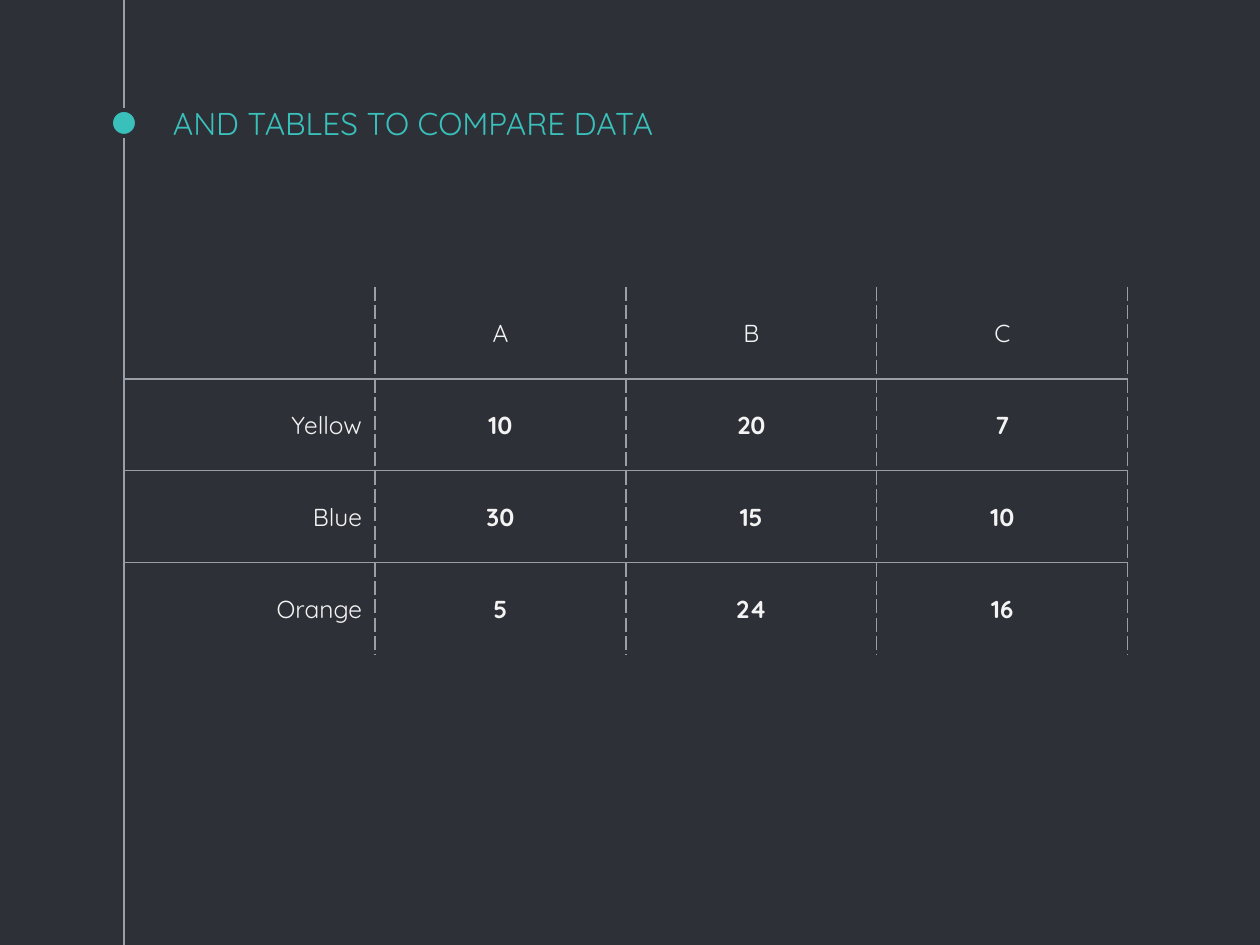
from lxml.etree import SubElement
from pptx import Presentation
from pptx.dml.color import RGBColor
from pptx.enum.shapes import MSO_CONNECTOR, MSO_SHAPE
from pptx.enum.text import MSO_ANCHOR, PP_ALIGN
from pptx.oxml.ns import qn
from pptx.util import Emu, Pt

SCALE = 914400 // 126
SLIDE_W, SLIDE_H = 1260, 945
FONT = "Quicksand"
COLORS = {"background": "2E3037", "accent": "39C0BA", "rule": "999FA9", "text": "F3F3F3"}
INSET = 13
RULE_WIDTH = Pt(0.75)

ROWS = [
    ["", "A", "B", "C"],
    ["Yellow", "10", "20", "7"],
    ["Blue", "30", "15", "10"],
    ["Orange", "5", "24", "16"],
]


def px(length):
    return Emu(length * SCALE)


def color(name):
    return RGBColor.from_string(COLORS[name])


def format_text(paragraph, size, color_name, bold=False):
    for run in paragraph.runs:
        run.font.name = FONT
        run.font.size = Pt(size)
        run.font.bold = bold
        run.font.color.rgb = color(color_name)


def add_timeline(slide, x, top, bottom, dot_y, dot_size):
    # Vertical rule
    rule = slide.shapes.add_connector(MSO_CONNECTOR.STRAIGHT, px(x), px(top), px(x), px(bottom))
    rule.line.color.rgb = color("rule")
    rule.line.width = RULE_WIDTH
    SubElement(rule._element.spPr, qn("a:effectLst"))
    # Dot, outlined in the background colour to break the rule
    dot = slide.shapes.add_shape(MSO_SHAPE.OVAL, px(x - dot_size // 2), px(dot_y - dot_size // 2),
                                 px(dot_size), px(dot_size))
    dot.shadow.inherit = False
    dot.fill.solid()
    dot.fill.fore_color.rgb = color("accent")
    dot.line.color.rgb = color("background")
    dot.line.width = Pt(2.25)


def add_title(slide, text, left, top, width, height):
    title = slide.shapes.add_textbox(px(left), px(top), px(width), px(height))
    frame = title.text_frame
    frame.word_wrap = True
    frame.vertical_anchor = MSO_ANCHOR.BOTTOM
    frame.margin_left = frame.margin_right = px(INSET)
    frame.margin_top = frame.margin_bottom = px(INSET)
    frame.text = text
    format_text(frame.paragraphs[0], 18, "accent")


def set_border(cell, side, dash):
    """Draw one cell edge; a dash of None hides it."""
    edge = SubElement(cell._tc.get_or_add_tcPr(), qn(f"a:ln{side}"), w=str(RULE_WIDTH))
    if dash is None:
        SubElement(edge, qn("a:noFill"))
        return
    fill = SubElement(edge, qn("a:solidFill"))
    SubElement(fill, qn("a:srgbClr"), val=COLORS["rule"])
    SubElement(edge, qn("a:prstDash"), val=dash)


def add_comparison_table(slide, rows, left, top, width, height):
    table = slide.shapes.add_table(len(rows), len(rows[0]), px(left), px(top),
                                   px(width), px(height)).table
    table.first_row = table.horz_banding = False
    last_row = len(rows) - 1
    for row, values in enumerate(rows):
        for column, value in enumerate(values):
            cell = table.cell(row, column)
            # Dashed column edges, solid rules between rows only
            set_border(cell, "L", "dash")
            set_border(cell, "R", "dash")
            set_border(cell, "T", "solid" if row > 0 else None)
            set_border(cell, "B", "solid" if row < last_row else None)
            cell.fill.background()
            # Text
            cell.vertical_anchor = MSO_ANCHOR.MIDDLE
            cell.margin_left = cell.margin_right = px(INSET)
            cell.margin_top = cell.margin_bottom = px(INSET)
            cell.text_frame.text = value
            paragraph = cell.text_frame.paragraphs[0]
            paragraph.alignment = PP_ALIGN.CENTER if column else PP_ALIGN.RIGHT
            format_text(paragraph, 14, "text", bold=row > 0 and column > 0)


def build_table_slide(presentation):
    slide = presentation.slides.add_slide(presentation.slide_layouts[6])
    slide.background.fill.solid()
    slide.background.fill.fore_color.rgb = color("background")
    add_timeline(slide, x=124, top=-1, bottom=SLIDE_H, dot_y=123, dot_size=26)
    add_title(slide, "AND TABLES TO COMPARE DATA", 160, 92, 945, 63)
    add_comparison_table(slide, ROWS, 124, 287, 1004, 368)


presentation = Presentation()
presentation.slide_width, presentation.slide_height = px(SLIDE_W), px(SLIDE_H)
build_table_slide(presentation)
presentation.save("out.pptx")
